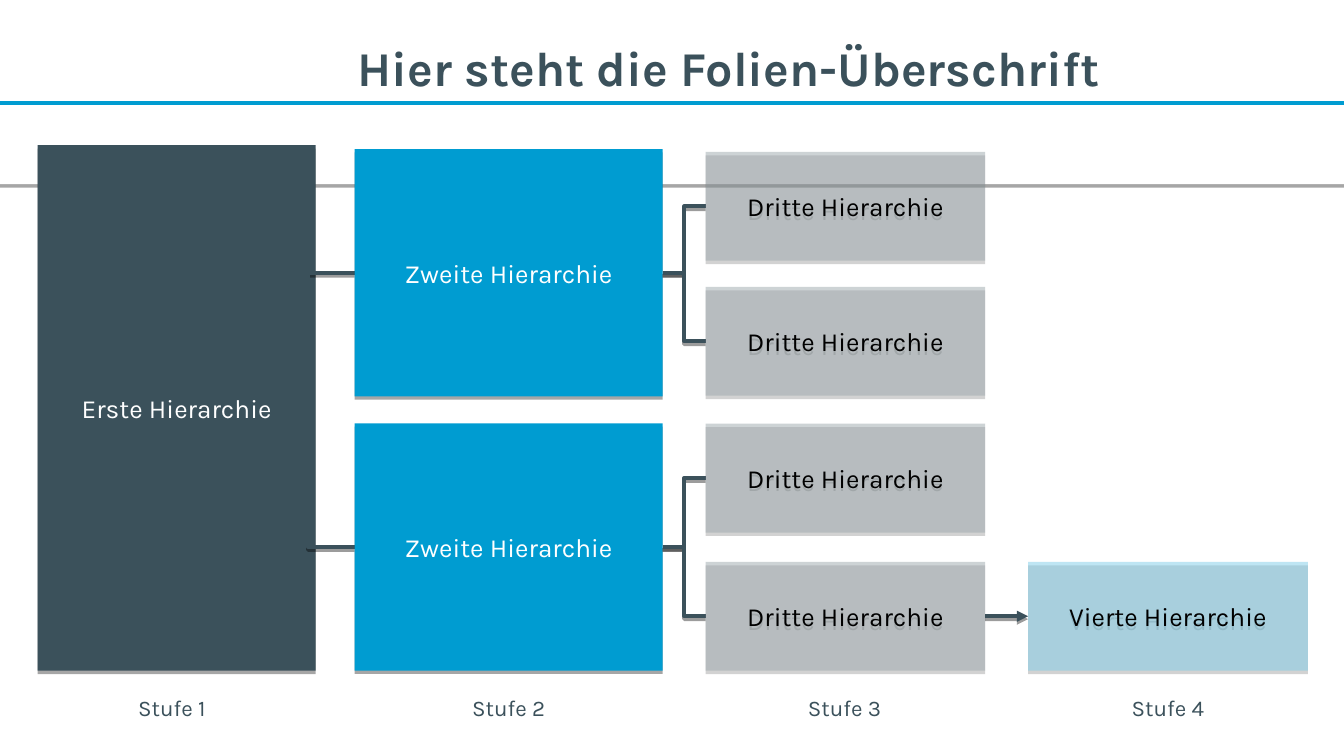
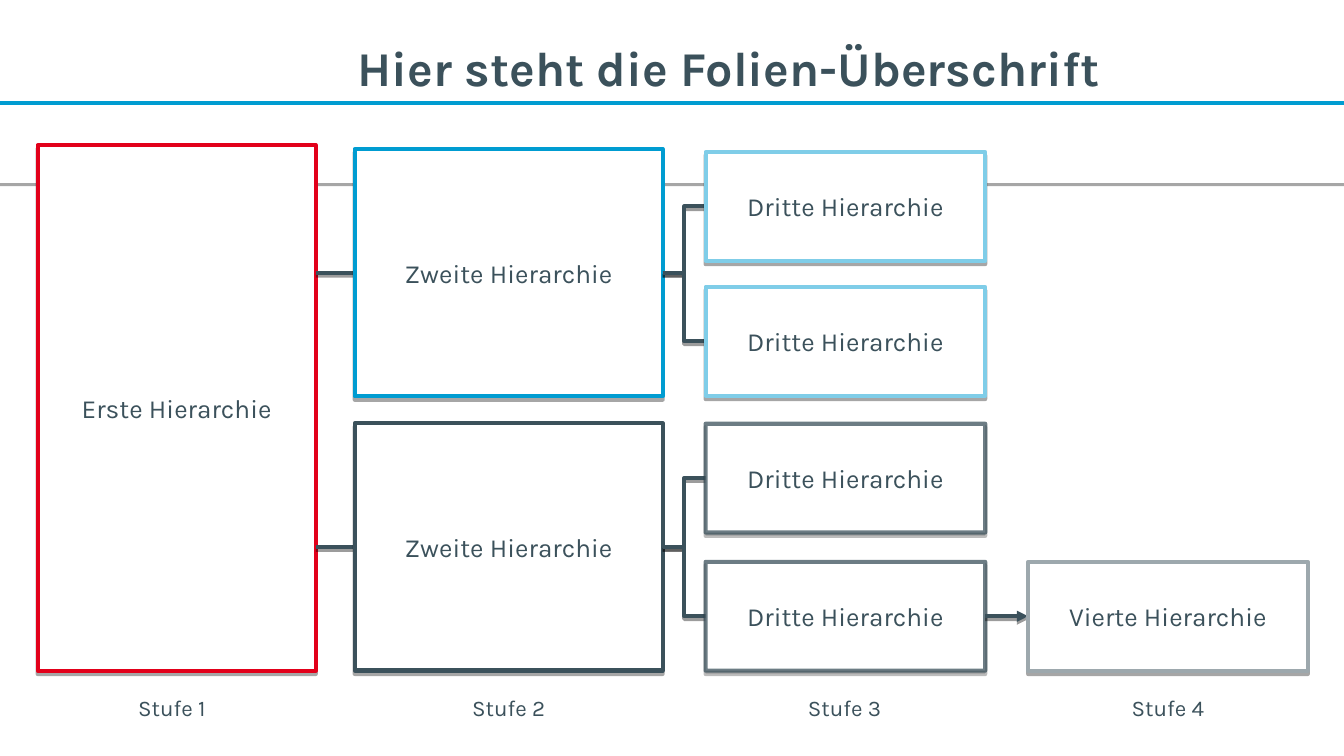
"""Build two slides that show a four-level hierarchy, filled and outlined."""
from lxml.etree import SubElement
from pptx import Presentation
from pptx.dml.color import RGBColor as RGB
from pptx.enum.shapes import MSO_CONNECTOR as Link, MSO_SHAPE as Shape
from pptx.enum.text import MSO_ANCHOR as Anchor, MSO_AUTO_SIZE as Auto, PP_ALIGN as Align
from pptx.oxml.ns import qn
from pptx.util import Pt

THEME = {
    "font": "Karla",
    "slate": "3B515B", "blue": "009CD1", "sky": "7FCDE8", "grey": "9DA8AD",
    "red": "E2001A", "white": "FFFFFF", "black": "000000",
    "title": 26, "box": 14, "label": 12,
    "rule": 2, "outline": 2.25,
    "box_shadow": (35, 1.8), "link_shadow": (38, 1.6),
}

TITLE = "Hier steht die Folien-Überschrift"
STAGES = [(19.4, 145.4), (190, 165), (378, 149), (550.8, 149.8)]
BOXES = [
    ("Erste Hierarchie", 20.2, 77.8, 149, 281.5),
    ("Zweite Hierarchie", 190, 79.9, 165, 132.5),
    ("Zweite Hierarchie", 190, 226.8, 165, 132.5),
    ("Dritte Hierarchie", 378, 81.4, 149.8, 58.3),
    ("Dritte Hierarchie", 378, 153.7, 149.8, 58.3),
    ("Dritte Hierarchie", 378, 227, 149.8, 58.3),
    ("Dritte Hierarchie", 378, 301, 149.8, 58.3),
    ("Vierte Hierarchie", 550.8, 301, 149.8, 58.3),
]
LINKS = [(1, 3), (1, 4), (2, 5), (2, 6), (6, 7)]

FILLED = {
    "band_top": 0.7,
    "trunk": (Link.ELBOW, 165, 218),
    "fills": ["slate"] + ["blue"] * 2 + ["grey"] * 4 + ["sky"],
    "fill_alpha": [100] * 3 + [50] * 5,
    "lines": [None] * 8,
    "line_alpha": [100] * 8,
    "texts": ["white"] * 3 + ["black"] * 5,
}
OUTLINED = {
    "band_top": 0,
    "trunk": (Link.STRAIGHT, 169.2, None),
    "fills": ["white"] * 8,
    "fill_alpha": [100] * 8,
    "lines": ["red", "blue", "slate", "sky", "sky", "slate", "slate", "grey"],
    "line_alpha": [100] * 5 + [75] * 2 + [100],
    "texts": ["slate"] * 8,
}


def write(s, text, size, color, frame, align=Align.CENTER, bold=False):
    tf = s.text_frame
    for name, value in frame.items():
        setattr(tf, name, value)
    p = tf.paragraphs[0]
    p.alignment = align
    r = p.add_run()
    r.text = text
    for name, value in {"name": THEME["font"], "size": Pt(THEME[size]), "bold": bold}.items():
        setattr(r.font, name, value)
    r.font.color.rgb = RGB.from_string(THEME[color])


def finish(s, line, width, shadow=None):
    if line:
        s.line.color.rgb = RGB.from_string(THEME[line])
        s.line.width = Pt(width)
    else:
        s.line.fill.background()
    effects = SubElement(s.element.spPr, qn("a:effectLst"))
    if shadow:
        alpha, distance = shadow
        outer = SubElement(effects, qn("a:outerShdw"), blurRad="0", dist=str(Pt(distance)),
                           dir="5400000", algn="t", rotWithShape="0")
        color = SubElement(outer, qn("a:srgbClr"), val=THEME["black"])
        SubElement(color, qn("a:alpha"), val=str(alpha * 1000))


prs = Presentation()
prs.slide_width, prs.slide_height = Pt(720), Pt(405)

for look in (FILLED, OUTLINED):
    shapes = prs.slides.add_slide(prs.slide_layouts[6]).shapes

    band = shapes.add_shape(Shape.RECTANGLE, 0, Pt(look["band_top"]), Pt(720), Pt(98))
    band.fill.solid()
    band.fill.fore_color.rgb = RGB.from_string(THEME["white"])
    finish(band, None, 0, THEME["box_shadow"])
    rule = shapes.add_connector(Link.STRAIGHT, 0, Pt(55), Pt(720), Pt(55))
    finish(rule, "blue", THEME["rule"])
    title = shapes.add_textbox(Pt(184.5), Pt(16.6), Pt(510.5), Pt(39.6))
    write(title, TITLE, "title", "slate", {"word_wrap": True}, Align.LEFT, True)

    for number, (left, width) in enumerate(STAGES, 1):
        label = shapes.add_textbox(Pt(left), Pt(368.6), Pt(width), Pt(21.6))
        write(label, f"Stufe {number}", "label", "slate",
              {"word_wrap": True, "auto_size": Auto.SHAPE_TO_FIT_TEXT})

    boxes = []
    for i, (text, *place) in enumerate(BOXES):
        s = shapes.add_shape(Shape.RECTANGLE, *map(Pt, place))
        s.fill.solid()
        s.fill.fore_color.rgb = RGB.from_string(THEME[look["fills"][i]])
        finish(s, look["lines"][i], THEME["outline"], THEME["box_shadow"])
        for part, key in (("", "fill_alpha"), ("a:ln/", "line_alpha")):
            if look[key][i] < 100:
                color = s.element.xpath(f"p:spPr/{part}a:solidFill/a:srgbClr")[0]
                SubElement(color, qn("a:alpha"), val=str(look[key][i] * 1000))
        write(s, text, "box", look["texts"][i],
              {"word_wrap": True, "vertical_anchor": Anchor.MIDDLE})
        boxes.append(s)

    kind, start_x, start_y = look["trunk"]
    for box in boxes[1:3]:
        middle = box.top + box.height // 2
        trunk = shapes.add_connector(kind, Pt(start_x), Pt(start_y) if start_y else middle,
                                     box.left, middle)
        if kind == Link.ELBOW:
            guides = trunk.element.xpath("p:spPr/a:prstGeom/a:avLst")[0]
            SubElement(guides, qn("a:gd"), name="adj1", fmla="val 0")
        else:
            trunk.end_connect(box, 1)
        finish(trunk, "slate", THEME["rule"], THEME["link_shadow"])
        box.element.addprevious(trunk.element)

    for source, target in LINKS:
        level = BOXES[source][2] == BOXES[target][2]
        link = shapes.add_connector(Link.STRAIGHT if level else Link.ELBOW, 0, 0, 0, 0)
        link.begin_connect(boxes[source], 3)
        link.end_connect(boxes[target], 1)
        finish(link, "slate", THEME["rule"], THEME["link_shadow"])
        if level:
            SubElement(link.line._get_or_add_ln(), qn("a:tailEnd"), type="triangle")
        boxes[target].element.addprevious(link.element)

prs.save("out.pptx")
